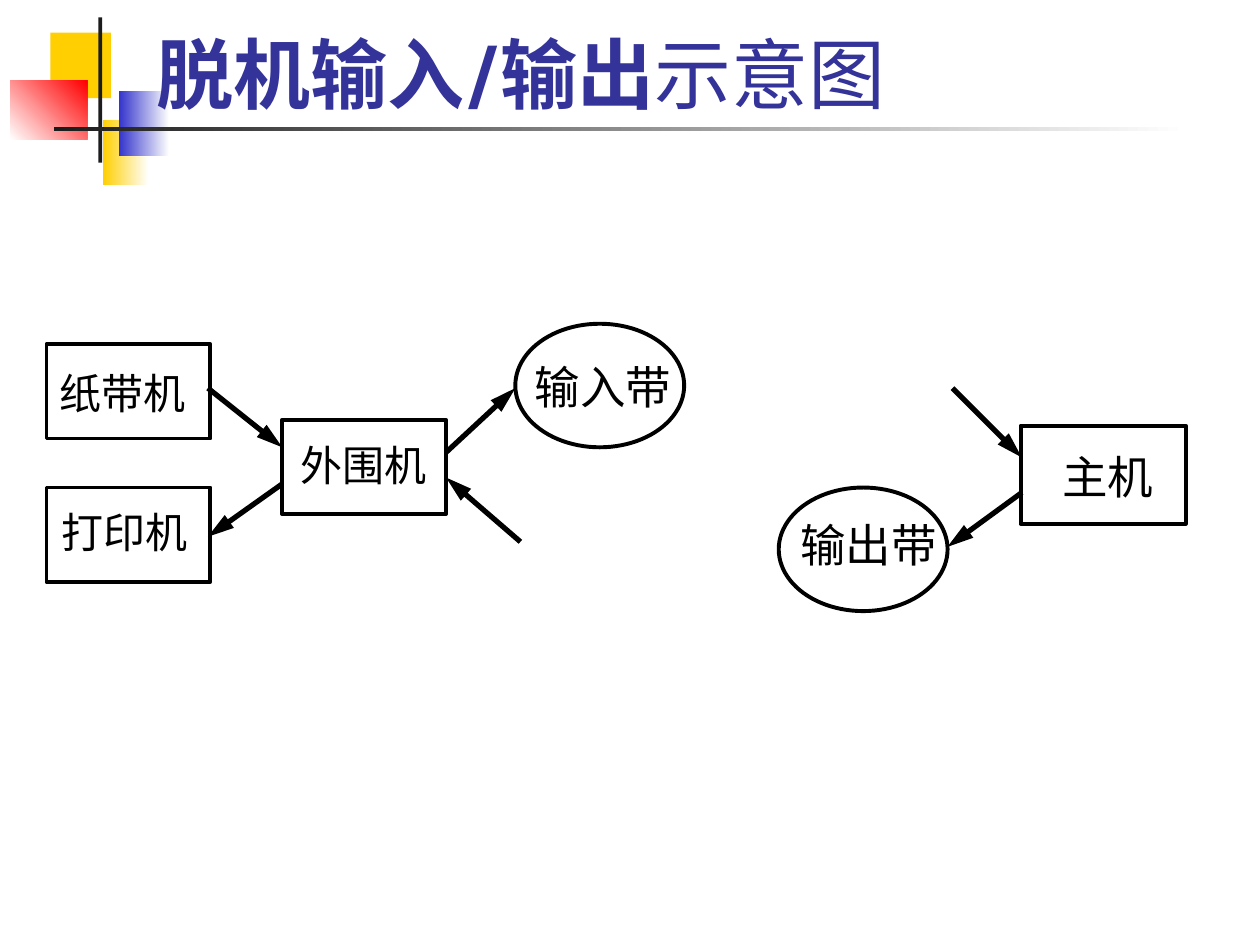
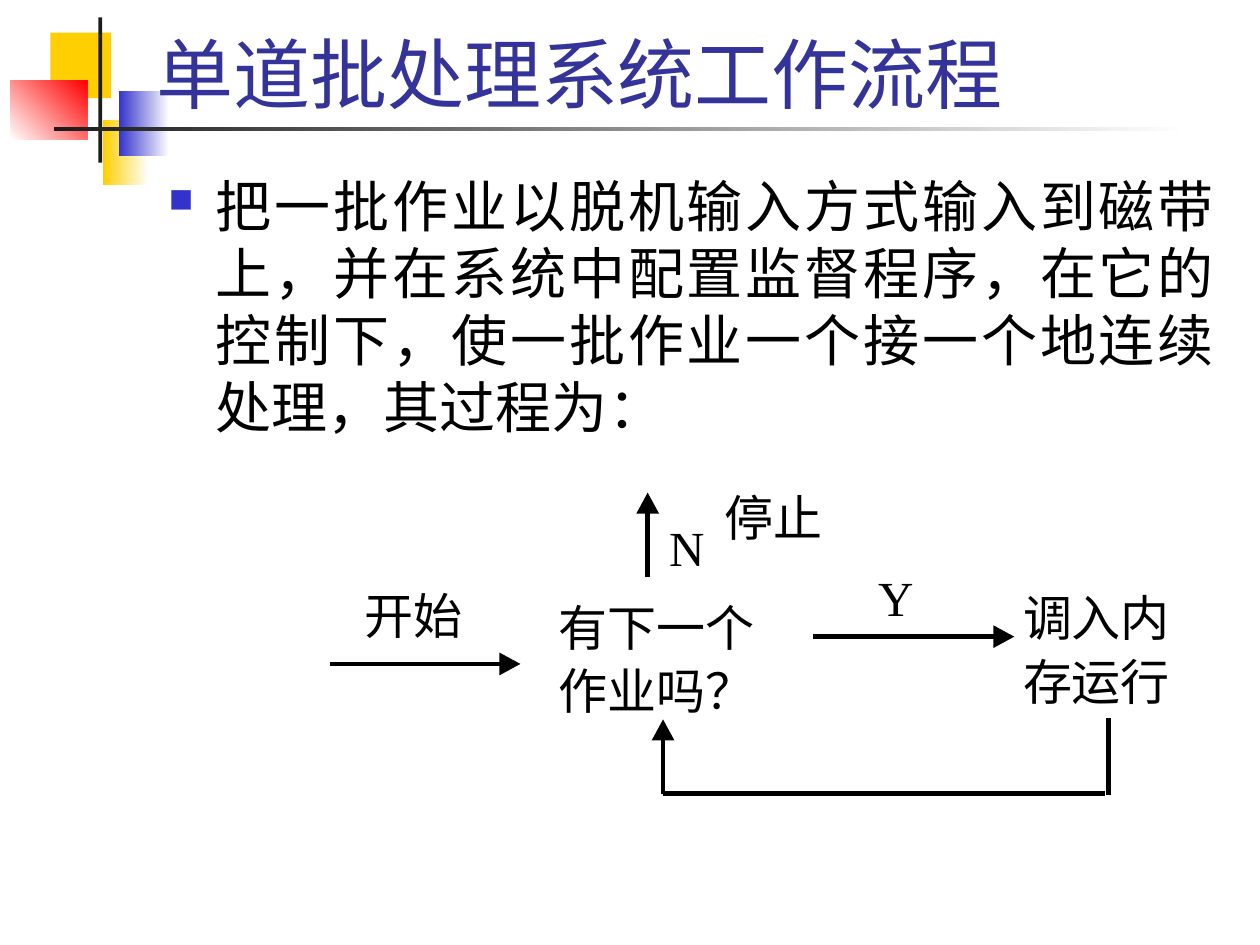
from math import hypot

from lxml import etree
from pptx import Presentation
from pptx.dml.color import RGBColor
from pptx.enum.shapes import MSO_CONNECTOR, MSO_SHAPE
from pptx.enum.text import MSO_ANCHOR, MSO_AUTO_SIZE, PP_ALIGN
from pptx.oxml.ns import qn
from pptx.util import Pt

BLACK = RGBColor(0x00, 0x00, 0x00)
WHITE = RGBColor(0xFF, 0xFF, 0xFF)
YELLOW = RGBColor(0xFF, 0xCF, 0x01)
BLUE = RGBColor(0x33, 0x33, 0xCC)
RED = RGBColor(0xFF, 0x00, 0x00)
CHARCOAL = RGBColor(0x1C, 0x1C, 0x1C)
NAVY = RGBColor(0x33, 0x33, 0x99)
KARLA, NOTO, TIMES = "Karla", "Noto Sans CJK SC", "Times New Roman"

# Corner decoration: left, top, width, height, colours, gradient angle
DECOR = [
    (28.8, 18.7, 34.6, 37.4, (YELLOW,), 0),
    (59, 68.4, 25.9, 37.4, (YELLOW, WHITE), 0),
    (67.9, 51.8, 28.8, 37.4, (BLUE, WHITE), 0),
    (5.8, 46, 44, 33.6, (WHITE, RED), 45),
    (56.2, 10, 2.2, 83, (CHARCOAL,), 0),
    (31, 72.7, 648, 2.2, (CHARCOAL, WHITE), 0),
]
TITLE_BOX = (82.1, 15.1, 618.5, 56.2)

# Slide 1: off-line input and output
OFFLINE_TITLE = [("脱机输入/输出", {"bold": True}), ("示意图", {"bold": False})]
RECT, OVAL = MSO_SHAPE.RECTANGLE, MSO_SHAPE.OVAL
BOX, TAPE, HOST = (93.6, 54), (96.5, 70.6), (94.3, 56.2)
# kind, left and top, size, label, label left and top, text size
DEVICES = [
    (RECT, (26.6, 278.6), BOX, "打印机", (35.3, 289.4), 24),
    (RECT, (26.6, 196.6), BOX, "纸带机", (33.8, 210.2), 24),
    (RECT, (161.3, 239.8), BOX, "外围机", (171.8, 251.3), 24),
    (OVAL, (294.5, 185), TAPE, "输入带", (305.6, 205.2), 26),
    (OVAL, (445, 278.6), TAPE, "输出带", (457.2, 295.2), 26),
    (RECT, (583.2, 243.2), HOST, "主机", (607, 256.3), 26),
]
DATA_ARROWS = [
    ((118.8, 221.8), (161.3, 255.6)),
    ((161.3, 276.5), (118.8, 306.7)),
    ((297.4, 309.6), (254.9, 272.9)),
    ((254.9, 258.5), (294.5, 221.8)),
    ((544.3, 221.8), (583.9, 261.4)),
    ((583.9, 281.5), (541.4, 312.5)),
]

# Slide 2: single-stream batch processing
BATCH_TITLE = [("单道批处理系统工作流程", {})]
BATCH_BOX = (89.3, 94.3, 612, 164.2)
BATCH_TEXT = ("把一批作业以脱机输入方式输入到磁带上，并在系统中配置监督程序，"
              "在它的控制下，使一批作业一个接一个地连续处理，其过程为：")
# left, top, runs
FLOW_LABELS = [
    (319, 341.3, [("有下一个", NOTO)]),
    (319, 377.3, [("作", KARLA), ("业吗？", NOTO)]),
    (382.3, 295.9, [("N", TIMES)]),
    (414, 278.6, [("停止", NOTO)]),
    (584.6, 335.5, [("调入内", NOTO)]),
    (584.6, 372.2, [("存运行", NOTO)]),
    (501.8, 324, [("Y", TIMES)]),
    (208.1, 334.8, [("开始", NOTO)]),
]
FLOW_ARROWS = [
    ((370.1, 329.8), (370.1, 281.5)),
    ((188.6, 379.4), (297.4, 379.4)),
    ((464.4, 363.8), (579.6, 363.8)),
    ((378.9, 453.6), (378.9, 411.1)),
]
RETURN_LINES = [
    ((631.4, 453.6), (378.7, 453.6)),
    ((633.6, 410.4), (633.6, 454.3)),
]
HEAD_LENGTH, HEAD_HALF, HEAD_OVERLAP = 12, 6.5, 2
LABEL_SLACK = 6


def pts(values):
    return [Pt(v) for v in values]


def add_run(p, text, size, name, color=BLACK, **fmt):
    r = p.add_run()
    r.text = text
    for key, value in {"size": Pt(size), "name": name, **fmt}.items():
        setattr(r.font, key, value)
    r.font.color.rgb = color
    etree.SubElement(r.font._element, qn("a:ea"), typeface=name)


def add_label(s, left, top, size, runs):
    """Add a one-line label a little wider than its full-width characters."""
    width = size * sum(len(text) for text, name in runs) + LABEL_SLACK
    tb = s.shapes.add_textbox(*pts((left, top, width, size * 1.2)))
    tf = tb.text_frame
    for side in ("left", "top", "right", "bottom"):
        setattr(tf, f"margin_{side}", 0)
    tf.word_wrap = False
    tf.auto_size = MSO_AUTO_SIZE.SHAPE_TO_FIT_TEXT
    for text, name in runs:
        add_run(tf.paragraphs[0], text, size, name)


def add_line(s, start, end, width, head=False):
    ln = s.shapes.add_connector(MSO_CONNECTOR.STRAIGHT, *pts(start + end))
    ln.line.color.rgb = BLACK
    ln.line.width = Pt(width)
    if head:
        etree.SubElement(ln.line._get_or_add_ln(), qn("a:tailEnd"),
                         type="triangle", w="med", len="lg")
    etree.SubElement(ln._element.spPr, qn("a:effectLst"))


def add_solid_arrow(s, start, tip):
    """Draw a shaft with a filled triangle whose point is at tip."""
    dx, dy = tip[0] - start[0], tip[1] - start[1]
    length = hypot(dx, dy)
    ux, uy = dx / length, dy / length

    def near_tip(back, side=0):
        return tip[0] - back * ux - side * uy, tip[1] - back * uy + side * ux

    add_line(s, start, near_tip(HEAD_LENGTH - HEAD_OVERLAP), 2.64)
    fb = s.shapes.build_freeform(*pts(tip))
    fb.add_line_segments([pts(near_tip(HEAD_LENGTH, side))
                          for side in (HEAD_HALF, -HEAD_HALF)], close=True)
    head = fb.convert_to_shape()
    head.shadow.inherit = False
    head.fill.solid()
    head.fill.fore_color.rgb = BLACK
    head.line.fill.background()


def add_slide(prs, title):
    """Add a slide with the corner decoration and its title."""
    s = prs.slides.add_slide(prs.slide_layouts[6])
    for *place, colors, angle in DECOR:
        sp = s.shapes.add_shape(RECT, *pts(place))
        sp.shadow.inherit = False
        sp.line.fill.background()
        if len(colors) == 1:
            sp.fill.solid()
            sp.fill.fore_color.rgb = colors[0]
        else:
            sp.fill.gradient()
            sp.fill.gradient_angle = angle
            for stop, color in zip(sp.fill.gradient_stops, colors):
                stop.color.rgb = color
    tf = s.shapes.add_textbox(*pts(TITLE_BOX)).text_frame
    tf.word_wrap = True
    tf.vertical_anchor = MSO_ANCHOR.BOTTOM
    for text, fmt in title:
        add_run(tf.paragraphs[0], text, 44, KARLA, NAVY, **fmt)
    return s


def build_offline(prs):
    s = add_slide(prs, OFFLINE_TITLE)
    for kind, corner, size, label, label_corner, font_size in DEVICES:
        sp = s.shapes.add_shape(kind, *pts(corner + size))
        sp.shadow.inherit = False
        sp.fill.solid()
        sp.fill.fore_color.rgb = WHITE
        sp.line.color.rgb = BLACK
        sp.line.width = Pt(2.25)
        add_label(s, *label_corner, font_size, [(label, NOTO)])
    for start, end in DATA_ARROWS:
        add_line(s, start, end, 3, head=True)


def build_batch(prs):
    s = add_slide(prs, BATCH_TITLE)

    # Bulleted description
    tf = s.shapes.add_textbox(*pts(BATCH_BOX)).text_frame
    tf.word_wrap = True
    p = tf.paragraphs[0]
    p.alignment = PP_ALIGN.JUSTIFY
    pPr = p._p.get_or_add_pPr()
    pPr.set("marL", str(Pt(27)))
    pPr.set("indent", str(Pt(-27)))
    bullet_color = etree.SubElement(pPr, qn("a:buClr"))
    etree.SubElement(bullet_color, qn("a:srgbClr"), val=str(BLUE))
    etree.SubElement(pPr, qn("a:buSzPct"), val="60000")
    etree.SubElement(pPr, qn("a:buFont"), typeface="Wingdings", charset="2")
    etree.SubElement(pPr, qn("a:buChar"), char="n")
    add_run(p, BATCH_TEXT, 32, KARLA)

    # Flow diagram
    for left, top, runs in FLOW_LABELS:
        add_label(s, left, top, 28, runs)
    for start, tip in FLOW_ARROWS:
        add_solid_arrow(s, start, tip)
    for start, end in RETURN_LINES:
        add_line(s, start, end, 2.64)


def main():
    prs = Presentation()
    prs.slide_width, prs.slide_height = Pt(720), Pt(540)
    build_offline(prs)
    build_batch(prs)
    prs.save("out.pptx")


if __name__ == "__main__":
    main()
